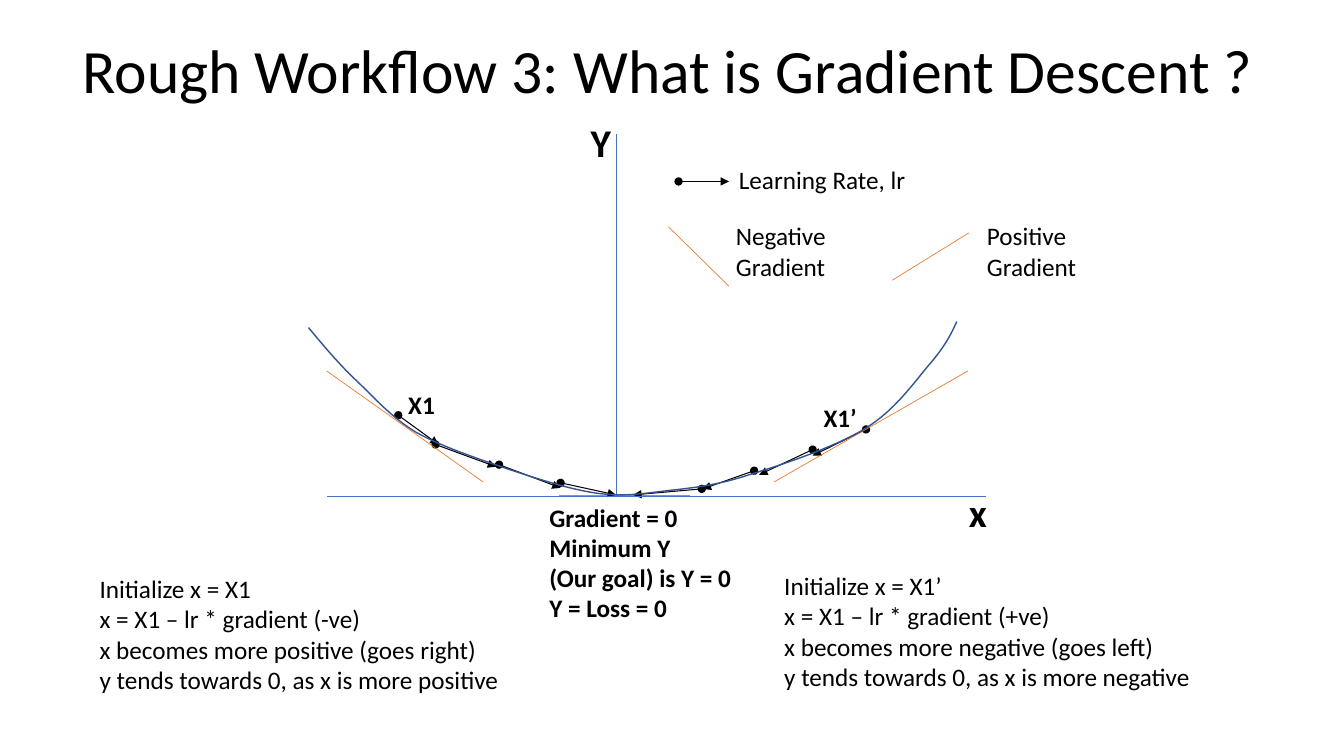
import lxml.etree
import pptx
import pptx.dml.color
import pptx.enum.shapes
import pptx.enum.text
import pptx.oxml.ns
import pptx.util
from pptx.util import Inches

BLACK, BLUE, ORANGE, NAVY = "000000", "4472C4", "ED7D31", "325491"
qn = pptx.oxml.ns.qn


def paint(target, value):
    target.rgb = pptx.dml.color.RGBColor.from_string(value)


def add_text(page, place, lines, size=18, bold=False):
    box = page.shapes.add_textbox(*[Inches(length) for length in place])
    frame = box.text_frame
    frame.word_wrap = True
    for index, line in enumerate(lines):
        para = frame.paragraphs[0] if index == 0 else frame.add_paragraph()
        span = para.add_run()
        span.text = line
        formats = {"name": "Calibri", "size": pptx.util.Pt(size), "bold": bold}
        for name, value in formats.items():
            setattr(span.font, name, value)
        paint(span.font.color, BLACK)
    return frame


deck = pptx.Presentation()
deck.slide_width, deck.slide_height = Inches(13.33), Inches(7.5)
page = deck.slides.add_slide(deck.slide_layouts[6])

# Title
title = add_text(page, (0.72, 0, 11.89, 1.45),
                 ["Rough Workflow 3: What is Gradient Descent ?"], 44)
title.vertical_anchor = pptx.enum.text.MSO_ANCHOR.MIDDLE
title.paragraphs[0].line_spacing = 0.9

# Straight lines: start x, start y, end x, end y
tangents = [(5.54, 4.91, 6.84, 4.91), (3.24, 3.68, 4.79, 4.78), (9.6, 3.68, 7.68, 4.78)]
legend_gradients = [(6.63, 2.25, 7.23, 2.84), (8.85, 2.78, 9.61, 2.31)]
axes = [(6.11, 1.33, 6.11, 4.92), (3.24, 4.92, 9.78, 4.92)]
steps = [
    # From the left, down to the minimum
    (3.95, 4.12, 4.35, 4.41), (4.32, 4.41, 4.92, 4.63),
    (4.95, 4.61, 5.56, 4.84), (5.56, 4.79, 6.11, 4.91),
    # From the right, down to the minimum
    (8.59, 4.26, 8.06, 4.52), (8.06, 4.46, 7.53, 4.71),
    (7.48, 4.67, 6.97, 4.85), (6.96, 4.85, 6.28, 4.91),
    # Legend
    (6.73, 1.8, 7.23, 1.8),
]
line_groups = [
    (tangents[:1], ORANGE, 0.5, False),
    (steps, BLACK, 0.75, True),
    (axes, BLUE, 0.5, False),
    (tangents[1:] + legend_gradients, ORANGE, 0.5, False),
]
for lines, color, weight, is_step in line_groups:
    for ends in lines:
        line = page.shapes.add_connector(
            pptx.enum.shapes.MSO_CONNECTOR.STRAIGHT, *[Inches(length) for length in ends])
        paint(line.line.color, color)
        line.line.width = pptx.util.Pt(weight)
        properties = line._element.spPr
        if is_step:
            outline = properties.find(qn("a:ln"))
            for tag, kind in (("a:headEnd", "oval"), ("a:tailEnd", "triangle")):
                lxml.etree.SubElement(outline, qn(tag), type=kind)
        lxml.etree.SubElement(properties, qn("a:effectLst"))

# Loss curve: cubic Bézier pieces, each with two control points and an end
curve_start = (3.06, 3.25)
curve_pieces = [
    ((3.21, 3.43), (3.36, 3.61), (3.54, 3.78)),
    ((3.72, 3.95), (3.88, 4.14), (4.13, 4.29)),
    ((4.38, 4.43), (4.74, 4.55), (5.03, 4.65)),
    ((5.33, 4.75), (5.64, 4.85), (5.9, 4.89)),
    ((6.17, 4.93), (6.35, 4.9), (6.6, 4.87)),
    ((6.86, 4.84), (7.1, 4.82), (7.43, 4.71)),
    ((7.76, 4.61), (8.3, 4.43), (8.6, 4.24)),
    ((8.9, 4.05), (9.09, 3.76), (9.24, 3.59)),
    ((9.39, 3.41), (9.44, 3.3), (9.49, 3.19)),
]
SAMPLES = 12
points = []
start = curve_start
for first, second, finish in curve_pieces:
    for sample in range(1, SAMPLES + 1):
        t = sample / SAMPLES
        u = 1 - t
        points.append([
            Inches(u**3 * a + 3 * u * u * t * b + 3 * u * t * t * c + t**3 * d)
            for a, b, c, d in zip(start, first, second, finish)])
    start = finish
builder = page.shapes.build_freeform(*[Inches(length) for length in curve_start])
builder.add_line_segments(points, close=False)
curve = builder.convert_to_shape()
curve.shadow.inherit = False
curve.fill.background()
paint(curve.line.color, NAVY)
curve.line.width = pptx.util.Pt(1)

# Legend, axis and point labels, and explanations
texts = [
    ((7.23, 1.58, 1.93, 0.4), ["Learning Rate, lr"], 18, False),
    ((7.2, 2.14, 1.81, 0.71), ["Negative Gradient"], 18, False),
    ((9.69, 2.14, 1.81, 0.71), ["Positive Gradient"], 18, False),
    ((9.51, 4.8, 1.75, 0.57), ["x"], 28, True),
    ((5.76, 1.12, 1.75, 0.57), ["Y"], 28, True),
    ((3.95, 3.81, 1.16, 0.4), ["X1"], 18, True),
    ((8.07, 3.94, 1.16, 0.4), ["X1’"], 18, True),
    ((5.35, 4.93, 2.15, 1.31),
     ["Gradient = 0", "Minimum Y", "(Our goal) is Y = 0", "Y = Loss = 0"], 18, True),
    ((0.89, 5.64, 4.87, 1.31),
     ["Initialize x = X1", "x = X1 – lr * gradient (-ve)",
      "x becomes more positive (goes right)",
      "y tends towards 0, as x is more positive"], 18, False),
    ((7.68, 5.61, 4.87, 1.31),
     ["Initialize x = X1’", "x = X1 – lr * gradient (+ve)",
      "x becomes more negative (goes left)",
      "y tends towards 0, as x is more negative"], 18, False),
]
for place, lines, size, bold in texts:
    add_text(page, place, lines, size, bold)

deck.save("out.pptx")
